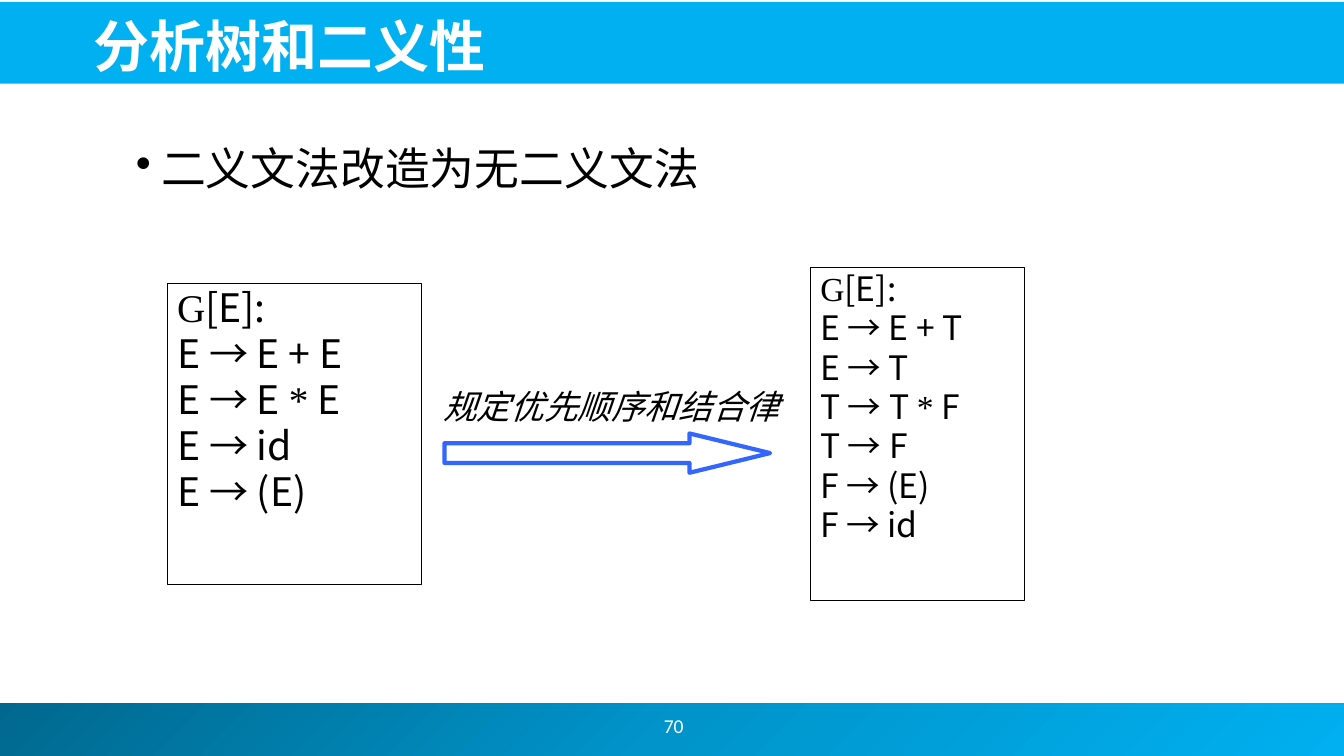
import copy
import pptx
import pptx.util
import pptx.dml.color
import pptx.enum.shapes
import pptx.enum.text
import pptx.oxml
import pptx.oxml.ns

Pt = pptx.util.Pt
Shape = pptx.enum.shapes.MSO_SHAPE
Align = pptx.enum.text.PP_ALIGN
Anchor = pptx.enum.text.MSO_ANCHOR

# Content: a line is a list of (words, font key)
TITLE = [[("分析树和二义性", "sans")]]
POINT = [[("二义文法改造为无二义文法", "serif")]]
LABEL = [[("规定优先顺序和结合律", "sans")]]
PAGE = [[("70", "page")]]
HEAD = [("G", "serif"), ("[E]:", "sans")]
VAGUE = [
    HEAD,
    [("E → E + E", "sans")],
    [("E → E ", "sans"), ("*", "serif"), (" E", "sans")],
    [("E → id", "sans")],
    [("E → (E)", "sans")],
]
CLEAR = [
    HEAD,
    [("E → E + T", "sans")],
    [("E → T", "sans")],
    [("T → T ", "sans"), ("*", "serif"), (" F", "sans")],
    [("T → F", "sans")],
    [("F → (E)", "sans")],
    [("F → id", "sans")],
]

FONTS = {"sans": "Noto Sans CJK JP", "serif": "Times New Roman", "page": "Calibri"}
COLORS = {"white": "FFFFFF", "black": "000000", "sky": "00B0F0",
          "mid": "0094CA", "deep": "00688E", "arrow": "3366FF"}
GAP = 0.095  # space before a rule, as a share of its text size

deck = pptx.Presentation()
deck.slide_width, deck.slide_height = Pt(960), Pt(540)
slide = deck.slides.add_slide(deck.slide_layouts[6])


def color(name):
    return pptx.dml.color.RGBColor.from_string(COLORS[name])


def block(box, kind=Shape.RECTANGLE, fill=None, line=None, width=0.75):
    shape = slide.shapes.add_shape(kind, *map(Pt, box))
    shape.shadow.inherit = False
    if fill:
        shape.fill.solid()
        shape.fill.fore_color.rgb = color(fill)
    else:
        shape.fill.background()
    if line:
        shape.line.color.rgb = color(line)
        shape.line.width = Pt(width)
    else:
        shape.line.fill.background()
    return shape


def write(shape, lines, size, ink="black", anchor=Anchor.TOP, align=Align.LEFT,
          space=None, wrap=True, bullet=False, **style):
    frame = shape.text_frame
    frame.word_wrap, frame.vertical_anchor = wrap, anchor
    for i, line in enumerate(lines):
        para = frame.add_paragraph() if i else frame.paragraphs[0]
        para.alignment = align
        if space:
            para.line_spacing = space
        if i:
            para.space_before = Pt(round(size * GAP, 2))
        if bullet:
            props = para._p.get_or_add_pPr()
            props.set("marL", str(Pt(54)))
            props.set("indent", str(Pt(-18)))
            mark = pptx.oxml.parse_xml(
                '<a:buChar %s char="•"/>' % pptx.oxml.ns.nsdecls("a"))
            props.append(mark)
        for words, face in line:
            run = para.add_run()
            run.text = words
            look = {"name": FONTS[face], "size": Pt(size), **style}
            for key, value in look.items():
                setattr(run.font, key, value)
            run.font.color.rgb = color(ink)
            east = pptx.oxml.parse_xml('<a:ea %s typeface="%s"/>' % (
                pptx.oxml.ns.nsdecls("a"), FONTS["sans"]))
            run.font._element.append(east)


def text(box, lines, size, **look):
    write(slide.shapes.add_textbox(*map(Pt, box)), lines, size, **look)


# Footer band with a three-stop gradient
band = block((-3.6, 502.5, 964, 37.5))
band.fill.gradient()
band.fill.gradient_angle = 315
stops = band.fill.gradient_stops
first = stops[0]._gs
first.addnext(copy.deepcopy(first))
for i, name in enumerate(("deep", "mid", "sky")):
    stop = band.fill.gradient_stops[i]
    stop.color.rgb = color(name)
    stop.position = i / 2

# Title bar, page number and main point
block((-1.4, 1.4, 962, 58.3), fill="sky")
text((377.3, 500.4, 208, 36), PAGE, 14, ink="white",
     anchor=Anchor.MIDDLE, align=Align.CENTER)
text((60, 3.6, 868, 57), TITLE, 40, ink="white", anchor=Anchor.BOTTOM,
     space=0.9, bold=True)
text((54, 101.5, 648, 78.5), POINT, 32, space=0.9, bullet=True)

# The two grammars
for box, rules, size in (((119.5, 202.3, 181.5, 215.3), VAGUE, 28),
                         ((578.9, 190.8, 153.2, 238.2), CLEAR, 24)):
    write(block(box, line="black"), rules, size, space=0.9)

# Arrow from one to the other, with its label
text((309.6, 272.2, 254.2, 36), LABEL, 24, align=Align.CENTER,
     wrap=False, italic=True)
arrow = block((317.5, 309.6, 232.6, 28.1), Shape.RIGHT_ARROW, line="arrow", width=3)
arrow.adjustments[0], arrow.adjustments[1] = 0.5, 2.05

deck.save("out.pptx")
